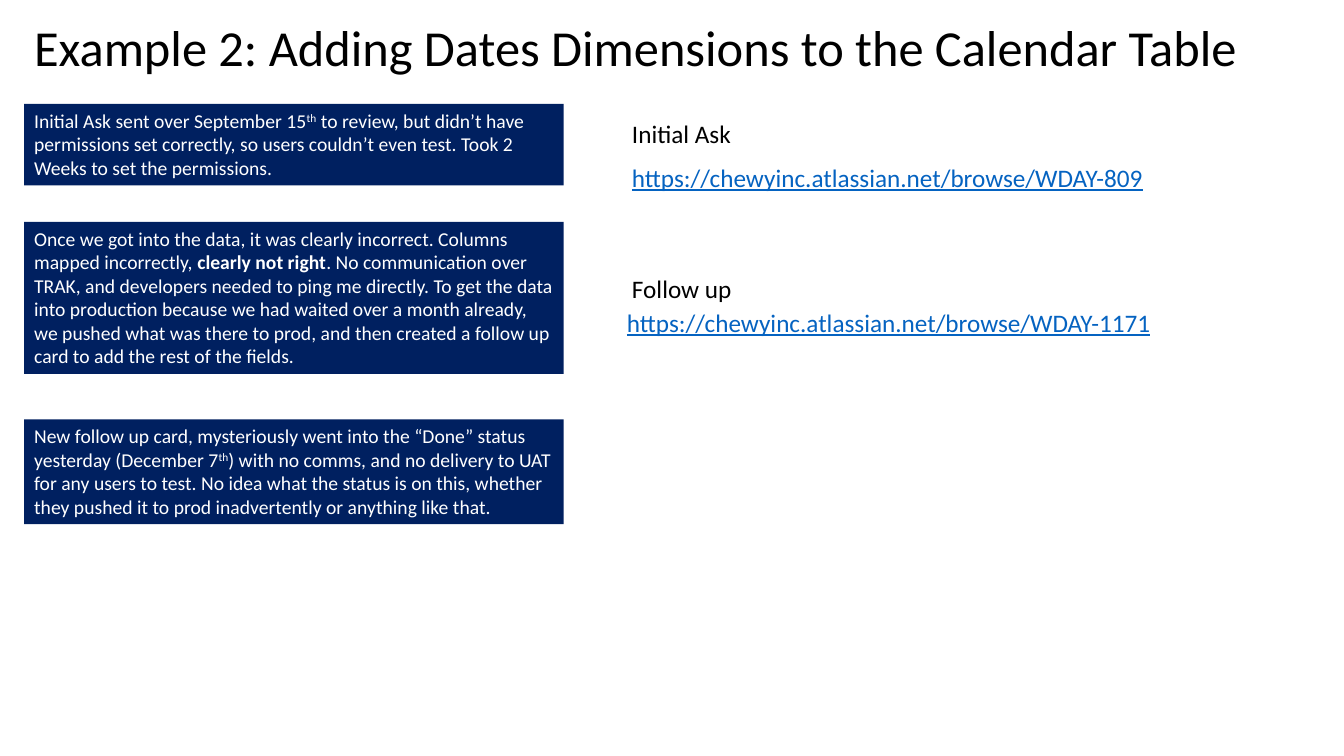
import dataclasses
import pptx
import pptx.dml.color
import pptx.enum.shapes
import pptx.enum.text
import pptx.slide
import pptx.util

Inches = pptx.util.Inches


@dataclasses.dataclass(frozen=True)
class Theme:
    font: str = "Calibri"
    navy: str = "002060"
    white: str = "FFFFFF"
    black: str = "000000"
    link_blue: str = "0563C1"
    title_size: int = 36
    card_size: int = 18
    note_size: int = 14


THEME = Theme()


@dataclasses.dataclass(frozen=True)
class Span:
    text: str
    bold: bool = False
    superscript: bool = False


@dataclasses.dataclass(frozen=True)
class Block:
    left: float
    top: float
    width: float
    height: float
    spans: tuple[Span, ...]
    size: int
    colour: str = THEME.black
    fill: str | None = None
    underline: bool = False
    wrap: bool = True


def note(top: float, height: float, *spans: Span) -> Block:
    return Block(0.24, top, 5.35, height, spans, THEME.note_size, THEME.white, THEME.navy)


def card_label(top: float, text: str) -> Block:
    return Block(6.17, top, 1.24, 0.42, (Span(text),), THEME.card_size)


def card_address(left: float, top: float, number: int) -> Block:
    text = f"https://chewyinc.atlassian.net/browse/WDAY-{number}"
    return Block(left, top, 6.67, 0.4, (Span(text),), THEME.card_size,
                 THEME.link_blue, underline=True)


BLOCKS = (
    note(1.03, 0.81,
         Span("Initial Ask sent over September 15"), Span("th", superscript=True),
         Span(" to review, but didn’t have permissions set correctly, so users "
              "couldn’t even test. Took 2 Weeks to set the permissions.")),
    note(2.2, 1.51,
         Span("Once we got into the data, it was clearly incorrect. Columns mapped incorrectly, "),
         Span("clearly not right", bold=True),
         Span(". No communication over TRAK, and developers needed to ping me directly. "
              "To get the data into production because we had waited over a month already, "
              "we pushed what was there to prod, and then created a follow up card to add "
              "the rest of the fields.")),
    note(4.16, 1.04,
         Span("New follow up card, mysteriously went into the “Done” status yesterday (December 7"),
         Span("th", superscript=True),
         Span(") with no comms, and no delivery to UAT for any users to test. No idea what "
              "the status is on this, whether they pushed it to prod inadvertently or "
              "anything like that.")),
    Block(0.24, 0.11, 12.24, 0.71,
          (Span("Example 2: Adding Dates Dimensions to the Calendar Table"),),
          THEME.title_size, wrap=False),
    card_address(6.17, 1.56, 809),
    card_address(6.12, 3, 1171),
    card_label(1.12, "Initial Ask"),
    card_label(2.66, "Follow up"),
)


def draw_block(slide: pptx.slide.Slide, block: Block) -> None:
    bounds = [Inches(v) for v in (block.left, block.top, block.width, block.height)]
    if block.fill:
        box = slide.shapes.add_shape(pptx.enum.shapes.MSO_SHAPE.RECTANGLE, *bounds)
        box.shadow.inherit = False
        box.fill.solid()
        box.fill.fore_color.rgb = pptx.dml.color.RGBColor.from_string(block.fill)
        box.line.fill.background()
    else:
        box = slide.shapes.add_textbox(*bounds)

    frame_format = {
        "word_wrap": block.wrap,
        "auto_size": pptx.enum.text.MSO_AUTO_SIZE.SHAPE_TO_FIT_TEXT,
        "vertical_anchor": pptx.enum.text.MSO_ANCHOR.TOP,
    }
    for name, value in frame_format.items():
        setattr(box.text_frame, name, value)

    paragraph = box.text_frame.paragraphs[0]
    paragraph.alignment = pptx.enum.text.PP_ALIGN.LEFT
    for span in block.spans:
        run = paragraph.add_run()
        run.text = span.text
        run_format = {
            "name": THEME.font,
            "size": pptx.util.Pt(block.size),
            "bold": span.bold,
            "underline": block.underline,
        }
        for name, value in run_format.items():
            setattr(run.font, name, value)
        run.font.color.rgb = pptx.dml.color.RGBColor.from_string(block.colour)
        if span.superscript:
            run._r.get_or_add_rPr().set("baseline", "30000")


def main() -> None:
    presentation = pptx.Presentation()
    presentation.slide_width = Inches(13.33)
    presentation.slide_height = Inches(7.5)
    slide = presentation.slides.add_slide(presentation.slide_layouts[6])
    for block in BLOCKS:
        draw_block(slide, block)
    presentation.save("out.pptx")


if __name__ == "__main__":
    main()
